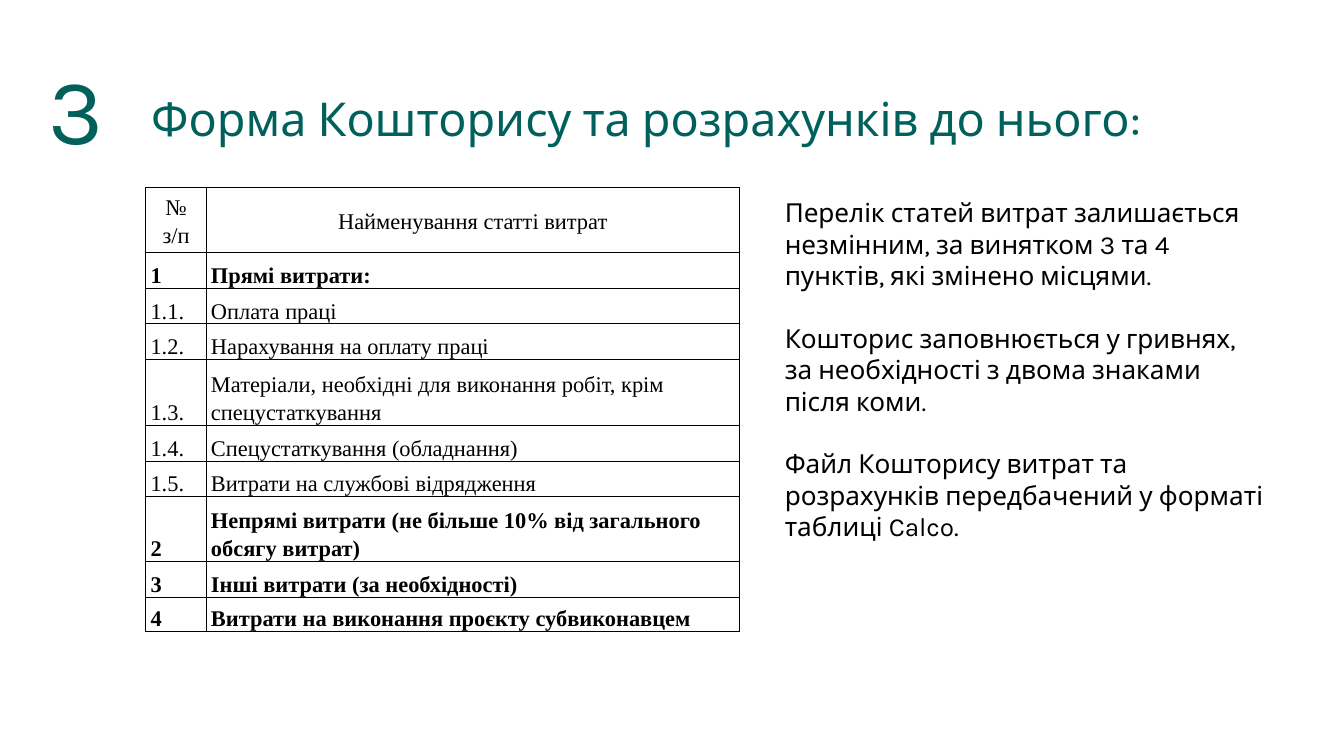
from lxml import etree
from pptx import Presentation
from pptx.dml.color import RGBColor
from pptx.enum.text import MSO_ANCHOR as Anchor, PP_ALIGN as Align
from pptx.oxml.ns import qn
from pptx.util import Inches, Pt

TEAL = RGBColor(0x00, 0x60, 0x5C)
BLACK = RGBColor(0x00, 0x00, 0x00)
HEADING_FONT = "Karla"
TABLE_FONT = "Times New Roman"

COLUMN_WIDTHS = (0.9, 7.93)
ROW_HEIGHTS = (0.97, 0.53, 0.53, 0.53, 0.98, 0.53, 0.53, 0.97, 0.53, 0.51)
COST_ITEMS = (
    ("№ з/п", "Найменування статті витрат"),
    ("1", "Прямі витрати:"),
    ("1.1.", "Оплата праці"),
    ("1.2.", "Нарахування на оплату праці"),
    ("1.3.", "Матеріали, необхідні для виконання робіт, крім спецустаткування"),
    ("1.4.", "Спецустаткування (обладнання)"),
    ("1.5.", "Витрати на службові відрядження"),
    ("2", "Непрямі витрати (не більше 10% від загального обсягу витрат)"),
    ("3", "Інші витрати (за необхідності)"),
    ("4", "Витрати на виконання проєкту субвиконавцем"),
)
NOTES = (
    "Перелік статей витрат залишається незмінним, за винятком 3 та 4 пунктів, "
    "які змінено місцями.",
    "Кошторис заповнюється у гривнях, за необхідності з двома знаками після коми.",
    "Файл Кошторису витрат та розрахунків передбачений у форматі таблиці Calco.",
)


def add_run(paragraph, text, font_name, size, color, bold=False):
    run = paragraph.add_run()
    run.text = text
    run.font.name = font_name
    run.font.size = Pt(size)
    run.font.color.rgb = color
    run.font.bold = bold


def add_text_box(slide, left, top, width, height):
    box = slide.shapes.add_textbox(
        Inches(left), Inches(top), Inches(width), Inches(height))
    box.text_frame.word_wrap = True
    return box.text_frame


def add_heading(slide, text, position, size, alignment=Align.LEFT):
    """Add one teal line whose line spacing equals its text size."""
    frame = add_text_box(slide, *position)
    frame.margin_left = frame.margin_right = 0
    frame.margin_top = frame.margin_bottom = 0
    paragraph = frame.paragraphs[0]
    paragraph.alignment = alignment
    paragraph.line_spacing = Pt(size)
    add_run(paragraph, text, HEADING_FONT, size, TEAL)


def add_notes_column(slide):
    frame = add_text_box(slide, 11.58, 2.88, 7.33, 7)
    for index, text in enumerate(NOTES):
        paragraph = frame.add_paragraph() if index else frame.paragraphs[0]
        if index:
            paragraph.space_before = Pt(33.5)
        add_run(paragraph, text, HEADING_FONT, 28, BLACK)


def add_borders(cell):
    properties = cell._tc.get_or_add_tcPr()
    for index, side in enumerate(("a:lnL", "a:lnR", "a:lnT", "a:lnB")):
        line = etree.Element(qn(side), w=str(Pt(1)))
        fill = etree.SubElement(line, qn("a:solidFill"))
        etree.SubElement(fill, qn("a:srgbClr"), val=str(BLACK))
        properties.insert(index, line)


def fill_cell(cell, text, is_header, bold):
    cell.fill.background()
    add_borders(cell)
    cell.margin_left = cell.margin_right = Inches(0.07)
    cell.margin_top = cell.margin_bottom = 0
    cell.vertical_anchor = Anchor.MIDDLE if is_header else Anchor.BOTTOM
    paragraph = cell.text_frame.paragraphs[0]
    paragraph.alignment = Align.CENTER if is_header else Align.LEFT
    paragraph.line_spacing = 1.15
    add_run(paragraph, text, TABLE_FONT, 24, BLACK, bold)


def add_cost_table(slide):
    table = slide.shapes.add_table(
        len(COST_ITEMS), len(COLUMN_WIDTHS), Inches(2.17), Inches(2.79),
        Inches(sum(COLUMN_WIDTHS)), Inches(sum(ROW_HEIGHTS))).table
    table.first_row = table.horz_banding = False
    for column, width in zip(table.columns, COLUMN_WIDTHS):
        column.width = Inches(width)
    for index, (row, item) in enumerate(zip(table.rows, COST_ITEMS)):
        row.height = Inches(ROW_HEIGHTS[index])
        is_main_item = item[0].isdigit()
        for cell, text in zip(row.cells, item):
            fill_cell(cell, text, is_header=index == 0, bold=is_main_item)


def main():
    presentation = Presentation()
    presentation.slide_width = Inches(20)
    presentation.slide_height = Inches(11.25)
    slide = presentation.slides.add_slide(presentation.slide_layouts[6])
    add_heading(slide, "Форма Кошторису та розрахунків до нього:",
                (2.25, 1.48, 16.62, 0.7), 50)
    add_heading(slide, "3", (0.29, 1.04, 1.67, 1.45), 100, Align.CENTER)
    add_notes_column(slide)
    add_cost_table(slide)
    presentation.save("out.pptx")


if __name__ == "__main__":
    main()
